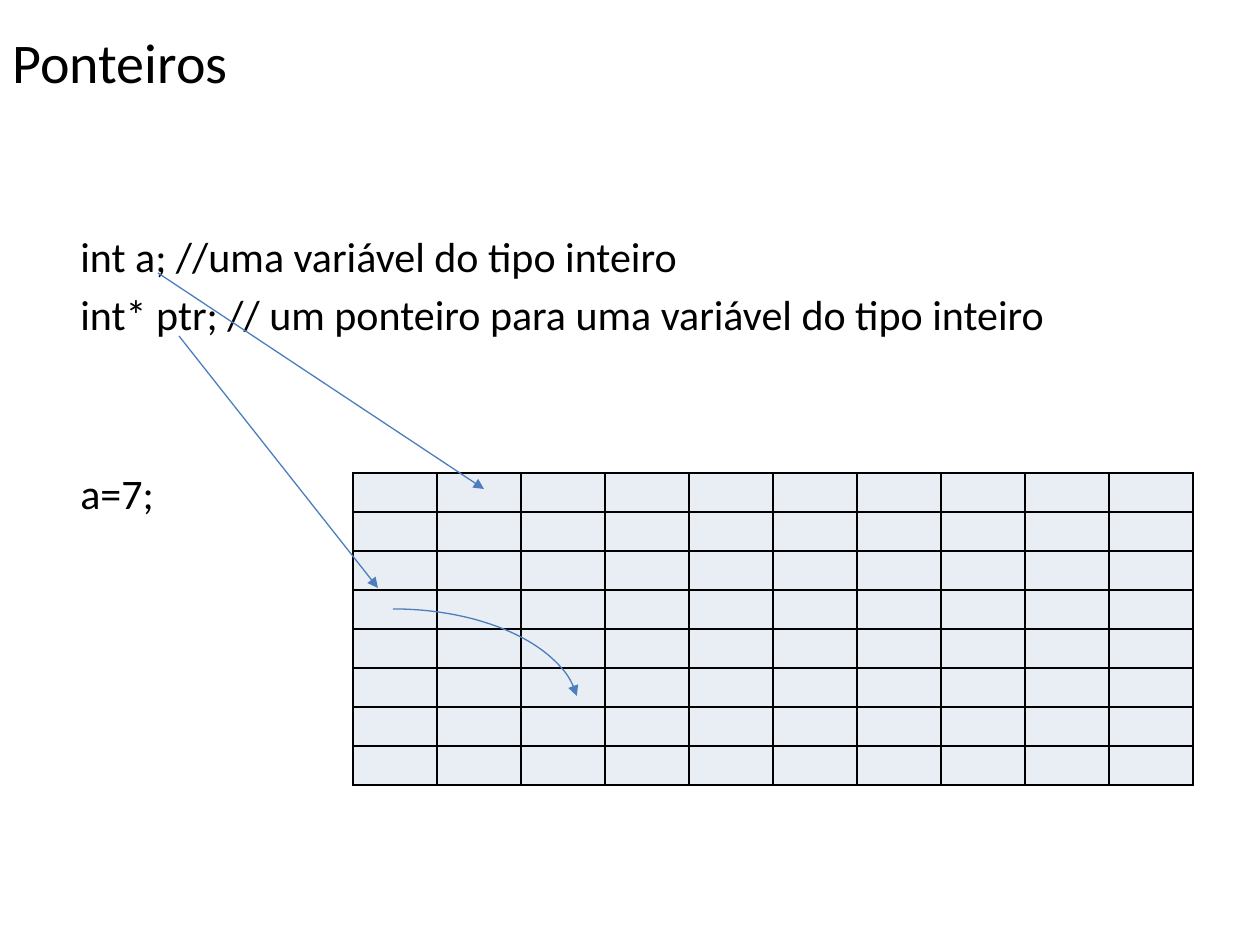
from lxml import etree
from pptx import Presentation
from pptx.dml.color import RGBColor
from pptx.enum.shapes import MSO_CONNECTOR, MSO_SHAPE
from pptx.oxml.ns import qn
from pptx.util import Emu, Pt

STRAIGHT = MSO_CONNECTOR.STRAIGHT
ARC = MSO_SHAPE.ARC
EMU_PER_PX = 914400 // 126
FONT = "Calibri"
BLACK, ARROW_BLUE, CELL_FILL = "000000", "4B7EBC", "E9EDF4"


def px(length):
    return Emu(length * EMU_PER_PX)


def color(hex_string):
    return RGBColor.from_string(hex_string)


class SlideBuilder:
    """Draws text, a memory grid and arrows in one style on the current slide."""

    def __init__(self, presentation):
        self.slide = presentation.slides.add_slide(presentation.slide_layouts[6])

    def text(self, left, top, width, height, lines, size, wrap=True):
        frame = self.slide.shapes.add_textbox(
            px(left), px(top), px(width), px(height)).text_frame
        frame.word_wrap = wrap
        for index, (content, space_before) in enumerate(lines):
            paragraph = frame.paragraphs[0] if index == 0 else frame.add_paragraph()
            paragraph.text = content
            paragraph.space_before = Pt(space_before)
            paragraph.font.name = FONT
            paragraph.font.size = Pt(size)
            paragraph.font.color.rgb = color(BLACK)

    def grid(self, left, top, columns, rows, cell_width, cell_height):
        table = self.slide.shapes.add_table(
            rows, columns, px(left), px(top),
            px(columns * cell_width), px(rows * cell_height)).table
        for column in table.columns:
            column.width = px(cell_width)
        for row in table.rows:
            row.height = px(cell_height)
        for cell in table.iter_cells():
            cell.margin_top = cell.margin_bottom = 0
            self.border(cell)
            cell.fill.solid()
            cell.fill.fore_color.rgb = color(CELL_FILL)

    def border(self, cell):
        properties = cell._tc.get_or_add_tcPr()
        for side in ("a:lnL", "a:lnR", "a:lnT", "a:lnB"):
            edge = etree.SubElement(properties, qn(side), w=str(Pt(1)))
            fill = etree.SubElement(edge, qn("a:solidFill"))
            etree.SubElement(fill, qn("a:srgbClr"), val=BLACK)

    def arrow(self, start_x, start_y, end_x, end_y):
        connector = self.slide.shapes.add_connector(
            STRAIGHT, px(start_x), px(start_y), px(end_x), px(end_y))
        self.arrow_line(connector)
        etree.SubElement(connector._element.spPr, qn("a:effectLst"))

    def curved_arrow(self, left, top, width, height, start, end):
        arc = self.slide.shapes.add_shape(
            ARC, px(left), px(top), px(width), px(height))
        arc.adjustments[0], arc.adjustments[1] = start, end
        arc.fill.background()
        self.arrow_line(arc)
        arc.shadow.inherit = False

    def arrow_line(self, shape):
        shape.line.color.rgb = color(ARROW_BLUE)
        shape.line.width = Pt(0.75)
        etree.SubElement(shape.line._get_or_add_ln(), qn("a:tailEnd"), type="triangle")


def main():
    presentation = Presentation()
    presentation.slide_width, presentation.slide_height = px(1260), px(945)
    builder = SlideBuilder(presentation)

    declarations = [
        ("int a; //uma variável do tipo inteiro", 4.8),
        ("int* ptr; // um ponteiro para uma variável do tipo inteiro", 4.8),
        ("a=7;", 73),
    ]
    builder.text(68, 224, 1162, 498, declarations, 24)
    builder.grid(353, 473, columns=10, rows=8, cell_width=84, cell_height=39)
    builder.arrow(158, 273, 484, 489)
    builder.text(0, 21, 243, 81, [("Ponteiros", 0)], 32, wrap=False)
    builder.arrow(179, 336, 378, 588)
    builder.curved_arrow(207, 609, 372, 205, start=162, end=213.11)

    presentation.save("out.pptx")


if __name__ == "__main__":
    main()
